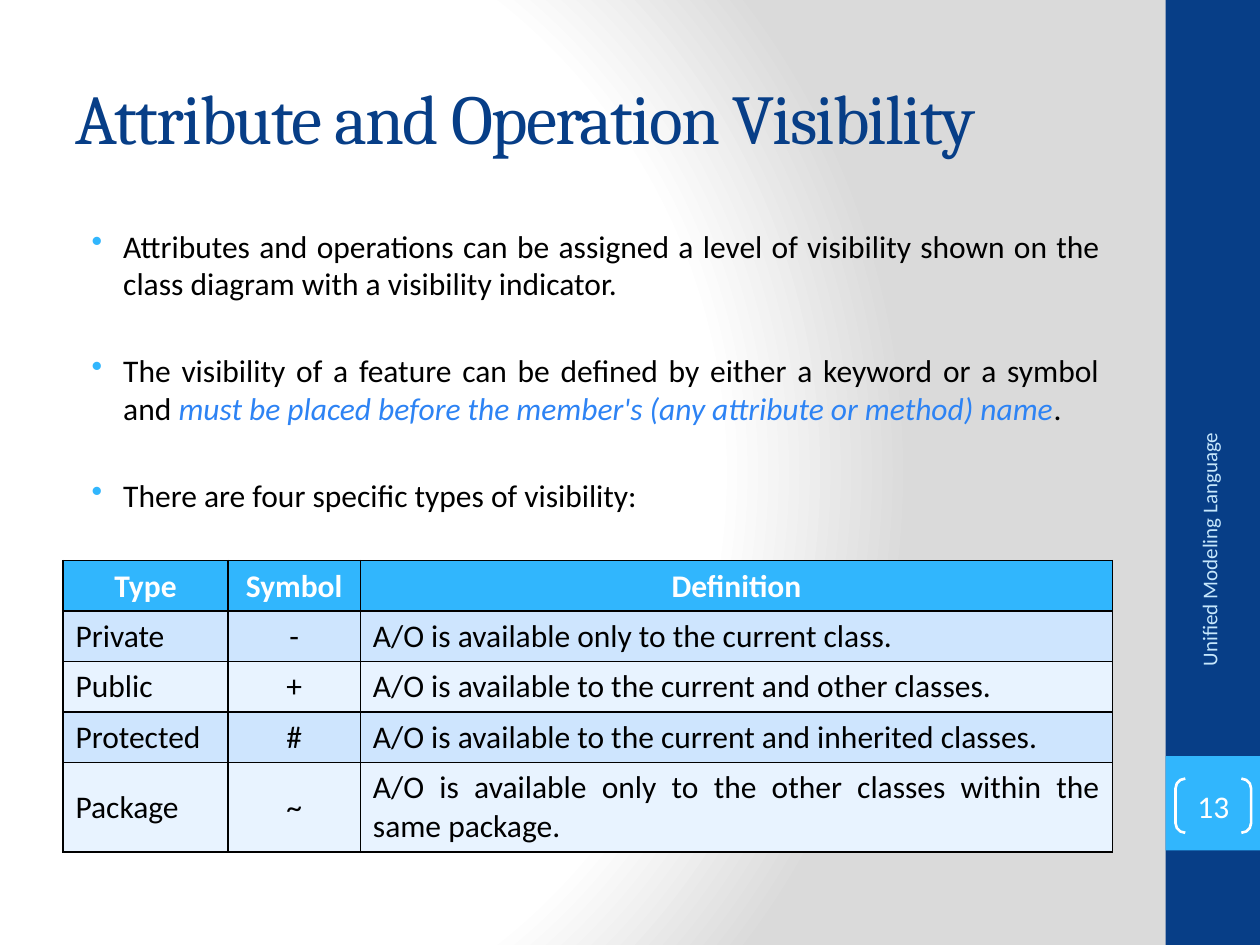
"""Build the slide on attribute and operation visibility."""
from pptx import Presentation
from pptx.dml.color import RGBColor
from pptx.enum.shapes import MSO_SHAPE
from pptx.enum.text import MSO_ANCHOR, MSO_AUTO_SIZE, PP_ALIGN
from pptx.oxml import parse_xml
from pptx.oxml.ns import nsdecls
from pptx.util import Inches, Pt

RECT, PAIR = MSO_SHAPE.RECTANGLE, MSO_SHAPE.DOUBLE_BRACKET
TOP, MIDDLE, FIXED = MSO_ANCHOR.TOP, MSO_ANCHOR.MIDDLE, MSO_AUTO_SIZE.NONE
LEFT, CENTER = PP_ALIGN.LEFT, PP_ALIGN.CENTER
RIGHT, JUSTIFY = PP_ALIGN.RIGHT, PP_ALIGN.JUSTIFY

NAVY = RGBColor(0x07, 0x3E, 0x87)
SKY = RGBColor(0x31, 0xB6, 0xFD)
BLUE = RGBColor(0x2D, 0x83, 0xF4)
PALE = RGBColor(0xC6, 0xE7, 0xFC)
BAND = RGBColor(0xCE, 0xE5, 0xFE)
LIGHT = RGBColor(0xE8, 0xF3, 0xFF)
WHITE = RGBColor(0xFF, 0xFF, 0xFF)
GREY = RGBColor(0xDA, 0xDA, 0xDA)
BLACK = RGBColor(0, 0, 0)

TITLE = "Attribute and Operation Visibility"
SIDE = "Unified Modeling Language"
PAGE = "13"
POINTS = [
    ["Attributes and operations can be assigned a level of visibility shown on the "
     "class diagram with a visibility indicator. "],
    ["The visibility of a feature can be defined by either a keyword or a symbol and ",
     "must be placed before the member's (any attribute or method) name", "."],
    ["There are four specific types of visibility: "],
]
ROWS = [
    ("Type", "Symbol", "Definition"),
    ("Private", "-", "A/O is available only to the current class."),
    ("Public", "+", "A/O is available to the current and other classes."),
    ("Protected", "#", "A/O is available to the current and inherited classes."),
    ("Package", "~", "A/O is available only to the other classes within the same package."),
]
WIDE, HIGH = 10, 7.5
EDGE, SPAN, STRIP = 0.5, 8.33, 0.75
COLS = (1.31, 1.05, 5.97)
TALLS = (0.4, 0.4, 0.4, 0.4, 0.71)


def write(para, text, size=18, font="Calibri", color=BLACK, bold=False,
          italic=False, align=LEFT):
    """Add a formatted run to a paragraph."""
    para.alignment = align
    run = para.add_run()
    run.text = text
    face = run.font
    face.size, face.name, face.bold, face.italic = Pt(size), font, bold, italic
    face.color.rgb = color
    return run


def box(slide, *area):
    """Add a wrapping text box."""
    shape = slide.shapes.add_textbox(*map(Inches, area))
    shape.text_frame.word_wrap = True
    return shape


def block(slide, kind, *area, fill=None):
    """Add a plain shape with no shadow or outline."""
    shape = slide.shapes.add_shape(kind, *map(Inches, area))
    shape.shadow.inherit = False
    shape.line.fill.background()
    if fill is None:
        shape.fill.background()
    else:
        shape.fill.solid()
        shape.fill.fore_color.rgb = fill
    return shape


def shade(slide):
    """Give the slide a radial backdrop."""
    slide.background.fill.solid()
    prop = slide.background._cSld.bg.bgPr
    stops = "".join(
        f'<a:gs pos="{pos * 1000}"><a:srgbClr val="{color}"/></a:gs>'
        for pos, color in ((0, WHITE), (75, WHITE), (100, GREY)))
    prop.replace(prop[0], parse_xml(
        f'<a:gradFill {nsdecls("a")} rotWithShape="1"><a:gsLst>{stops}</a:gsLst>'
        '<a:path path="circle"><a:fillToRect l="20000" t="50000" r="100000" b="50000"/>'
        '</a:path></a:gradFill>'))


def head(slide):
    """Place and fill the title."""
    title = slide.shapes.title
    title.left, title.top, title.width, title.height = map(Inches, (EDGE, 0.3, SPAN, 1.25))
    frame = title.text_frame
    frame.vertical_anchor, frame.auto_size = MIDDLE, FIXED
    run = write(frame.paragraphs[0], TITLE, size=40, font="Cambria", color=NAVY)
    run.font._element.set("spc", "-100")


def side(slide):
    """Draw the strip with its caption and page number."""
    left = WIDE - STRIP
    block(slide, RECT, left, 0, STRIP, HIGH, fill=NAVY)
    block(slide, RECT, left, HIGH * 0.8, STRIP, STRIP, fill=SKY)
    label = box(slide, 8.3, 4.43, 2.59, 0.4)
    label.rotation = 270
    label.text_frame.vertical_anchor = MIDDLE
    write(label.text_frame.paragraphs[0], SIDE, size=12, color=PALE, align=RIGHT)
    pair = block(slide, PAIR, 9.33, 6.18, 0.6, 0.43)
    pair.adjustments[0] = 0.18
    pair.line.color.rgb, pair.line.width = WHITE, Pt(1.5)
    frame = pair.text_frame
    frame.margin_left = frame.margin_right = frame.margin_top = frame.margin_bottom = 0
    frame.vertical_anchor = MIDDLE
    write(frame.paragraphs[0], PAGE, color=WHITE, align=CENTER)


def points(slide):
    """Write the bulleted points."""
    frame = box(slide, EDGE, 1.75, SPAN, 2.6).text_frame
    for num, parts in enumerate(POINTS):
        para = frame.add_paragraph() if num else frame.paragraphs[0]
        para.space_before = Pt(28 if num else 4)
        for spot, text in enumerate(parts):
            key = spot == 1
            write(para, text, color=BLUE if key else BLACK, italic=key, align=JUSTIFY)
        prop = para._p.get_or_add_pPr()
        prop.set("marL", str(Inches(0.38)))
        prop.set("indent", str(Inches(-0.25)))
        prop.append(parse_xml(
            f'<a:buClr {nsdecls("a")}><a:srgbClr val="{SKY}"/></a:buClr>'))
        prop.append(parse_xml(f'<a:buChar {nsdecls("a")} char="•"/>'))


def frame_cell(cell):
    """Rule all four sides of a cell."""
    prop = cell._tc.get_or_add_tcPr()
    for num, name in enumerate(("lnL", "lnR", "lnT", "lnB")):
        prop.insert(num, parse_xml(
            f'<a:{name} {nsdecls("a")} w="{Pt(1)}"><a:solidFill>'
            f'<a:srgbClr val="{BLACK}"/></a:solidFill></a:{name}>'))


def grid(slide):
    """Build the table of visibility types."""
    area = map(Inches, (EDGE, 4.45, SPAN, sum(TALLS)))
    table = slide.shapes.add_table(len(ROWS), len(COLS), *area).table
    for col, width in zip(table.columns, COLS):
        col.width = Inches(width)
    for num, (texts, tall) in enumerate(zip(ROWS, TALLS)):
        table.rows[num].height = Inches(tall)
        top = num == 0
        for spot, text in enumerate(texts):
            cell = table.cell(num, spot)
            cell.fill.solid()
            cell.fill.fore_color.rgb = SKY if top else BAND if num % 2 else LIGHT
            cell.vertical_anchor = TOP if top or spot == 2 else MIDDLE
            write(cell.text_frame.paragraphs[0], text, bold=top,
                  color=WHITE if top else BLACK,
                  align=CENTER if top else (LEFT, CENTER, JUSTIFY)[spot])
            frame_cell(cell)


def main():
    """Assemble and save the deck."""
    deck = Presentation()
    deck.slide_width, deck.slide_height = Inches(WIDE), Inches(HIGH)
    slide = deck.slides.add_slide(deck.slide_layouts[5])
    for part in (shade, head, side, points, grid):
        part(slide)
    deck.save("out.pptx")


if __name__ == "__main__":
    main()
